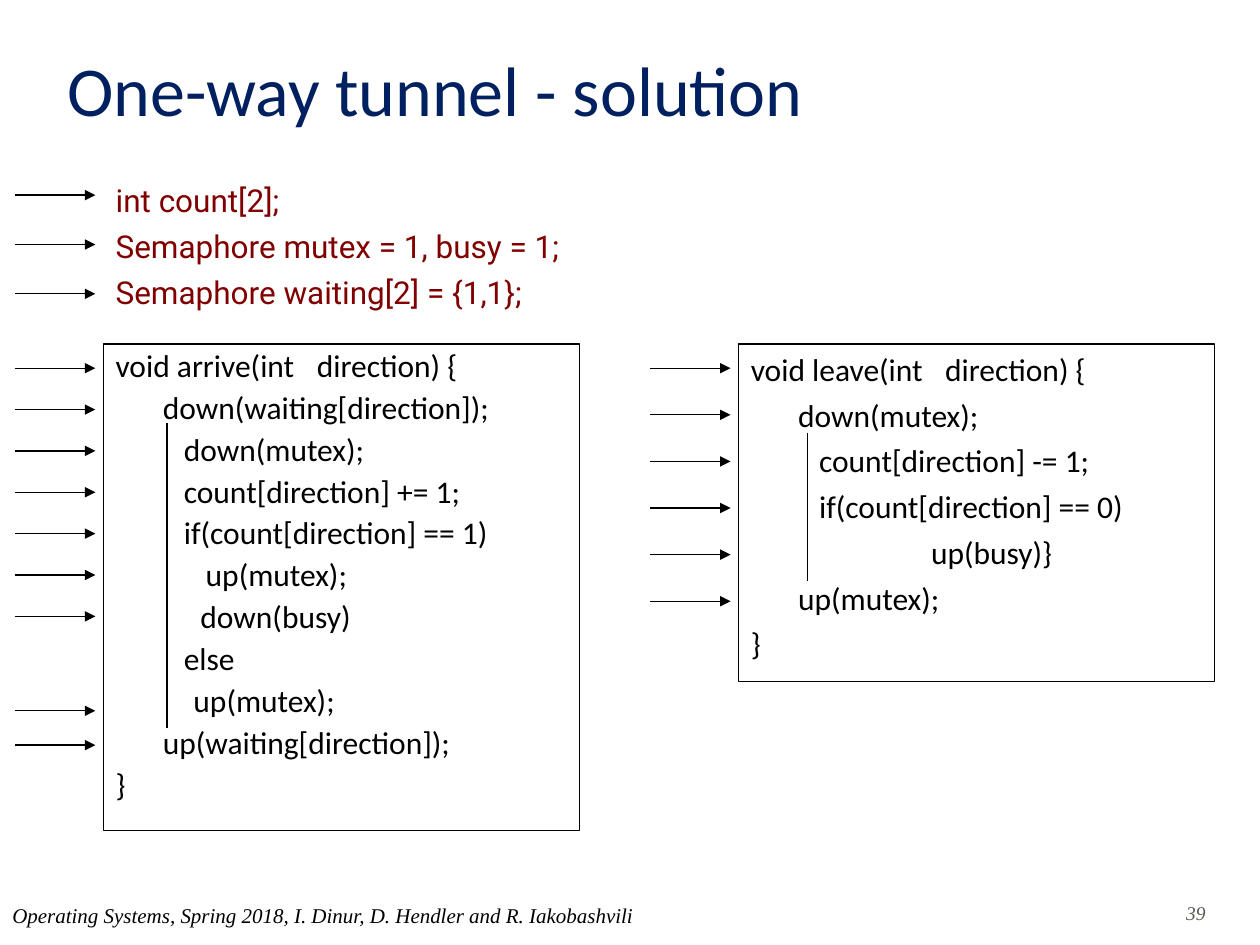
from dataclasses import dataclass

import lxml.etree
import pptx
import pptx.dml.color
import pptx.enum.shapes
import pptx.enum.text
import pptx.oxml.ns
import pptx.util

Pt = pptx.util.Pt
qn = pptx.oxml.ns.qn
Align = pptx.enum.text.PP_ALIGN
Anchor = pptx.enum.text.MSO_ANCHOR


@dataclass(frozen=True)
class Theme:
    title: str = "002060"
    declaration: str = "800000"
    ink: str = "000000"
    page: str = "5E574E"
    sans: str = "Calibri"
    code: str = "Roboto"
    serif: str = "Times New Roman"
    title_size: float = 40
    body_size: float = 18
    footer_size: float = 12
    page_size: float = 11.1
    thin: float = 0.75
    guide: float = 1
    gap: float = 4.5


@dataclass(frozen=True)
class Line:
    text: str
    indent: float = 0


@dataclass(frozen=True)
class CodeBox:
    left: float
    height: float
    spacing: float
    tab: float
    lines: tuple[Line, ...]


@dataclass(frozen=True)
class ArrowColumn:
    left: float
    top: float
    step: float
    count: int


THEME = Theme()
BOX_TOP, BOX_WIDTH = 196.5, 272
ARROW_WIDTH = 46

ARRIVE = CodeBox(59, 278, 0.9, 115, (
    Line("void arrive(int\tdirection) {"),
    Line("down(waiting[direction]);", 27),
    Line("down(mutex);", 39),
    Line("count[direction] += 1;", 39),
    Line("if(count[direction] == 1)", 39),
    Line("up(mutex);", 51.5),
    Line("down(busy)", 48.5),
    Line("else", 39),
    Line("up(mutex);", 44.5),
    Line("up(waiting[direction]);", 27),
    Line("}"),
))
LEAVE = CodeBox(422, 193, 1, 111, (
    Line("void leave(int\tdirection) {"),
    Line("down(mutex);", 27),
    Line("count[direction] -= 1;", 39),
    Line("if(count[direction] == 0)", 39),
    Line("up(busy)}", 103),
    Line("up(mutex);", 27),
    Line("}"),
))
DECLARATIONS = (
    Line("int count[2];"),
    Line("Semaphore mutex = 1, busy = 1;"),
    Line("Semaphore waiting[2] = {1,1};"),
)
ARROWS = (
    ArrowColumn(8.5, 111.5, 28.2, 3),
    ArrowColumn(8.5, 210.4, 23.64, 7),
    ArrowColumn(8.5, 406.2, 19.6, 2),
    ArrowColumn(371.5, 210.4, 26.64, 6),
)


def rgb(color: str) -> pptx.dml.color.RGBColor:
    return pptx.dml.color.RGBColor.from_string(color)


def write_text(sp, lines: tuple[Line, ...], *, font: str, size: float,
               color: str, italic: bool = False, align=Align.LEFT,
               anchor=Anchor.TOP, before: float = 0, spacing: float = 1,
               tab: float = 0) -> None:
    tf = sp.text_frame
    tf.word_wrap = True
    tf.vertical_anchor = anchor
    for i, line in enumerate(lines):
        p = tf.add_paragraph() if i else tf.paragraphs[0]
        p.alignment = align
        p.space_before = Pt(before)
        p.line_spacing = spacing
        pPr = p._p.get_or_add_pPr()
        if line.indent:
            pPr.set("marL", str(Pt(line.indent)))
        if "\t" in line.text:
            stops = lxml.etree.SubElement(pPr, qn("a:tabLst"))
            lxml.etree.SubElement(stops, qn("a:tab"), pos=str(Pt(tab)), algn="l")
        r = p.add_run()
        r.text = line.text
        r.font.name = font
        r.font.size = Pt(size)
        r.font.italic = italic
        r.font.color.rgb = rgb(color)


def add_text(s, left: float, top: float, width: float, height: float,
             *lines: Line, **style) -> None:
    sp = s.shapes.add_textbox(Pt(left), Pt(top), Pt(width), Pt(height))
    write_text(sp, lines, **style)


def add_code_box(s, box: CodeBox) -> None:
    sp = s.shapes.add_shape(pptx.enum.shapes.MSO_SHAPE.RECTANGLE, Pt(box.left),
                            Pt(BOX_TOP), Pt(BOX_WIDTH), Pt(box.height))
    sp.shadow.inherit = False
    sp.fill.background()
    sp.line.color.rgb = rgb(THEME.ink)
    sp.line.width = Pt(THEME.thin)
    write_text(sp, box.lines, font=THEME.sans, size=THEME.body_size,
               color=THEME.ink, before=THEME.gap, spacing=box.spacing, tab=box.tab)


def add_line(s, x1: float, y1: float, x2: float, y2: float,
             width: float, arrow: bool = False) -> None:
    sp = s.shapes.add_connector(pptx.enum.shapes.MSO_CONNECTOR.STRAIGHT,
                                Pt(x1), Pt(y1), Pt(x2), Pt(y2))
    sp.line.color.rgb = rgb(THEME.ink)
    sp.line.width = Pt(width)
    if arrow:
        lxml.etree.SubElement(sp.line._get_or_add_ln(), qn("a:tailEnd"), type="triangle")
    lxml.etree.SubElement(sp._element.spPr, qn("a:effectLst"))


def add_arrows(s, column: ArrowColumn) -> None:
    for i in range(column.count):
        y = column.top + i * column.step
        add_line(s, column.left, y, column.left + ARROW_WIDTH, y, THEME.thin, arrow=True)


def main() -> None:
    prs = pptx.Presentation()
    prs.slide_width, prs.slide_height = Pt(720), Pt(540)
    s = prs.slides.add_slide(prs.slide_layouts[6])

    # Title and shared declarations
    add_text(s, 31.5, 18, 612, 60, Line("One-way tunnel - solution"),
             font=THEME.sans, size=THEME.title_size, color=THEME.title,
             anchor=Anchor.BOTTOM)
    add_text(s, 59, 100, 323, 140, *DECLARATIONS, font=THEME.code,
             size=THEME.body_size, color=THEME.declaration, before=THEME.gap)

    # The two procedures
    for box in (ARRIVE, LEAVE):
        add_code_box(s, box)

    # Step arrows and scope guides
    for column in ARROWS:
        add_arrows(s, column)
    add_line(s, 95.5, 242, 95.5, 416, THEME.guide)
    add_line(s, 461.5, 247.5, 461.5, 332, THEME.guide)

    # Footer and page number
    add_text(s, 552, 513, 144, 22, Line("39"), font=THEME.serif,
             size=THEME.page_size, color=THEME.page, italic=True,
             align=Align.RIGHT, spacing=0.9)
    add_text(s, 0, 512, 546, 36,
             Line("Operating Systems, Spring 2018, I. Dinur, D. Hendler and R. Iakobashvili"),
             font=THEME.serif, size=THEME.footer_size, color=THEME.ink, italic=True)

    prs.save("out.pptx")


if __name__ == "__main__":
    main()
